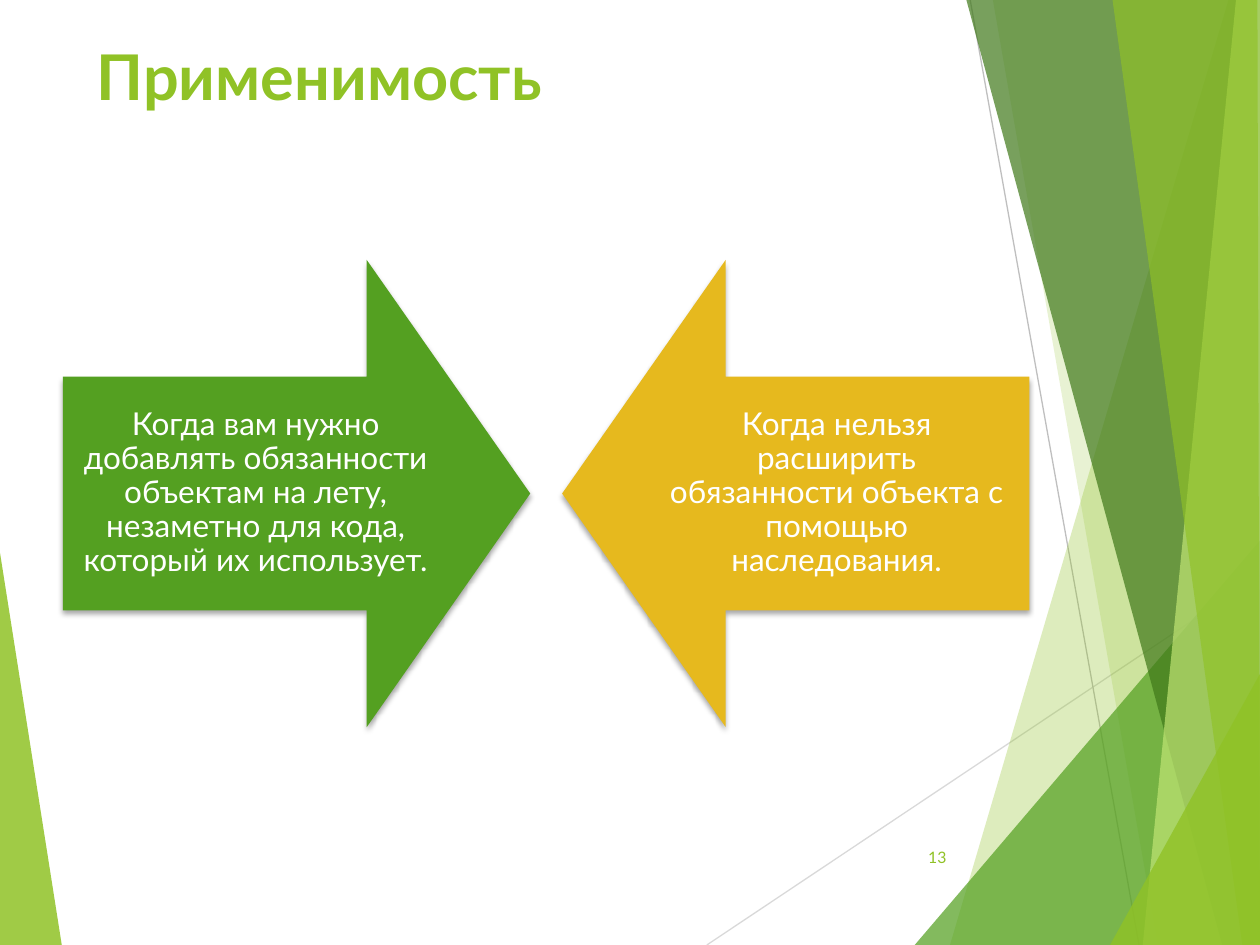
import pptx
import pptx.util
import pptx.dml.color
import pptx.enum.shapes
import pptx.enum.text
import pptx.oxml
import pptx.oxml.ns
import lxml.etree

FONT = "Lato"
GREEN, LIME, GOLD, WHITE = "54A021", "90C226", "E6B91E", "FFFFFF"
WIDTH, HEIGHT = pptx.util.Inches(10), pptx.util.Inches(7.5)
PAGE_BOX = (0, 0, WIDTH, HEIGHT)

# Facets: fill, opacity in percent, corners in percent of the page
FACETS = [
    (LIME, 85, [(0, 58.5), (4.9, 100), (0, 100)]),
    (LIME, 30, [(97.5, 0), (75.4, 100), (100, 100), (100, 0)]),
    (LIME, 20, [(78.8, 0), (91.9, 100), (100, 100), (100, 0)]),
    (GREEN, 72, [(72.6, 100), (100, 57.2), (100, 100)]),
    ("3F7819", 70, [(76.7, 0), (97, 100), (100, 100), (100, 0)]),
    ("C0E474", 70, [(98.1, 0), (90.7, 100), (100, 100), (100, 0)]),
    (LIME, 65, [(88.3, 0), (98.6, 100), (100, 100), (99.8, 0)]),
    (LIME, 80, [(88.1, 100), (100, 71.3), (100, 100)]),
]
RAYS = [("D9D9D9", (56.1, 100), (100, 60.9)), ("BFBFBF", (77, 0), (90.4, 100))]


def color(value):
    return pptx.dml.color.RGBColor.from_string(value)


def part(box, left, top, width, height):
    """Box whose place is given in percent of another box."""
    x, y, w, h = box
    return (int(x + w * left / 100), int(y + h * top / 100),
            int(w * width / 100), int(h * height / 100))


def point(box, place):
    return part(box, *place, 0, 0)[:2]


def paint(shape, fill):
    shape.shadow.inherit = False
    shape.fill.solid()
    shape.fill.fore_color.rgb = color(fill)
    shape.line.fill.background()


def add_text(page, box, text, size, fill, align, anchor, bold=False, inset=None):
    frame = page.shapes.add_textbox(*box).text_frame
    frame.word_wrap = True
    frame.vertical_anchor = anchor
    if inset is not None:
        frame.margin_left = frame.margin_right = inset
        frame.margin_top = frame.margin_bottom = inset
    para = frame.paragraphs[0]
    para.alignment = align
    span = para.add_run()
    span.text = text
    span.font.name, span.font.size = FONT, pptx.util.Pt(size)
    span.font.bold = bold
    span.font.color.rgb = color(fill)
    return para


def add_facet(page, box, fill, opacity, corners):
    points = [point(box, corner) for corner in corners]
    builder = page.shapes.build_freeform(*points[0])
    builder.add_line_segments(points[1:], close=True)
    facet = builder.convert_to_shape()
    paint(facet, fill)
    tint = facet._element.spPr.find(".//" + pptx.oxml.ns.qn("a:srgbClr"))
    lxml.etree.SubElement(tint, pptx.oxml.ns.qn("a:alpha"), val=str(opacity * 1000))


def add_ray(page, box, stroke, start, end):
    ray = page.shapes.add_connector(
        pptx.enum.shapes.MSO_CONNECTOR.STRAIGHT, *point(box, start), *point(box, end))
    ray.line.color.rgb = color(stroke)
    ray.line.width = pptx.util.Pt(0.75)
    lxml.etree.SubElement(ray._element.spPr, pptx.oxml.ns.qn("a:effectLst"))


def add_backdrop(page, box):
    add_facet(page, box, *FACETS[0])
    for ray in RAYS:
        add_ray(page, box, *ray)
    for facet in FACETS[1:]:
        add_facet(page, box, *facet)


def add_drop_shadow(shape):
    effects = shape._element.spPr.find(pptx.oxml.ns.qn("a:effectLst"))
    effects.append(pptx.oxml.parse_xml(
        f'<a:outerShdw {pptx.oxml.ns.nsdecls("a")} blurRad="38100" dist="25400" '
        'dir="5400000" rotWithShape="0"><a:srgbClr val="000000">'
        '<a:alpha val="35000"/></a:srgbClr></a:outerShdw>'))


def add_arrow(page, box, fill, turn, text_left, text):
    """Square arrow with its label over the shaft."""
    arrow = page.shapes.add_shape(pptx.enum.shapes.MSO_SHAPE.DOWN_ARROW, *box)
    arrow.rotation = turn
    arrow.adjustments[0], arrow.adjustments[1] = 0.5, 0.35
    paint(arrow, fill)
    add_drop_shadow(arrow)
    para = add_text(page, part(box, text_left, 25, 82.5, 50), text, 18, WHITE,
                    pptx.enum.text.PP_ALIGN.CENTER, pptx.enum.text.MSO_ANCHOR.MIDDLE,
                    inset=pptx.util.Inches(0.14))
    para.line_spacing = 0.9


def add_opposing_arrows(page, box):
    x, y, w, side = box
    add_arrow(page, (x, y, side, side), GREEN, 270, 0,
              "Когда вам нужно добавлять обязанности объектам на лету, "
              "незаметно для кода, который их использует.")
    add_arrow(page, (x + w - side, y, side, side), GOLD, 90, 17.5,
              "Когда нельзя расширить обязанности объекта с помощью наследования.")


def main():
    deck = pptx.Presentation()
    deck.slide_width, deck.slide_height = WIDTH, HEIGHT
    page = deck.slides.add_slide(deck.slide_layouts[6])

    # Faceted background
    add_backdrop(page, PAGE_BOX)
    # Title
    add_text(page, part(PAGE_BOX, 6.7, 3.33, 69.4, 19.2), "Применимость", 36, LIME,
             pptx.enum.text.PP_ALIGN.LEFT, pptx.enum.text.MSO_ANCHOR.TOP, bold=True)
    # Two arrows that meet
    add_opposing_arrows(page, part(PAGE_BOX, 5, 27.5, 76.7, 49.45))
    # Page number
    add_text(page, part(PAGE_BOX, 70.5, 88.1, 5.6, 5.3), "13", 9, LIME,
             pptx.enum.text.PP_ALIGN.RIGHT, pptx.enum.text.MSO_ANCHOR.MIDDLE)

    deck.save("out.pptx")


if __name__ == "__main__":
    main()
